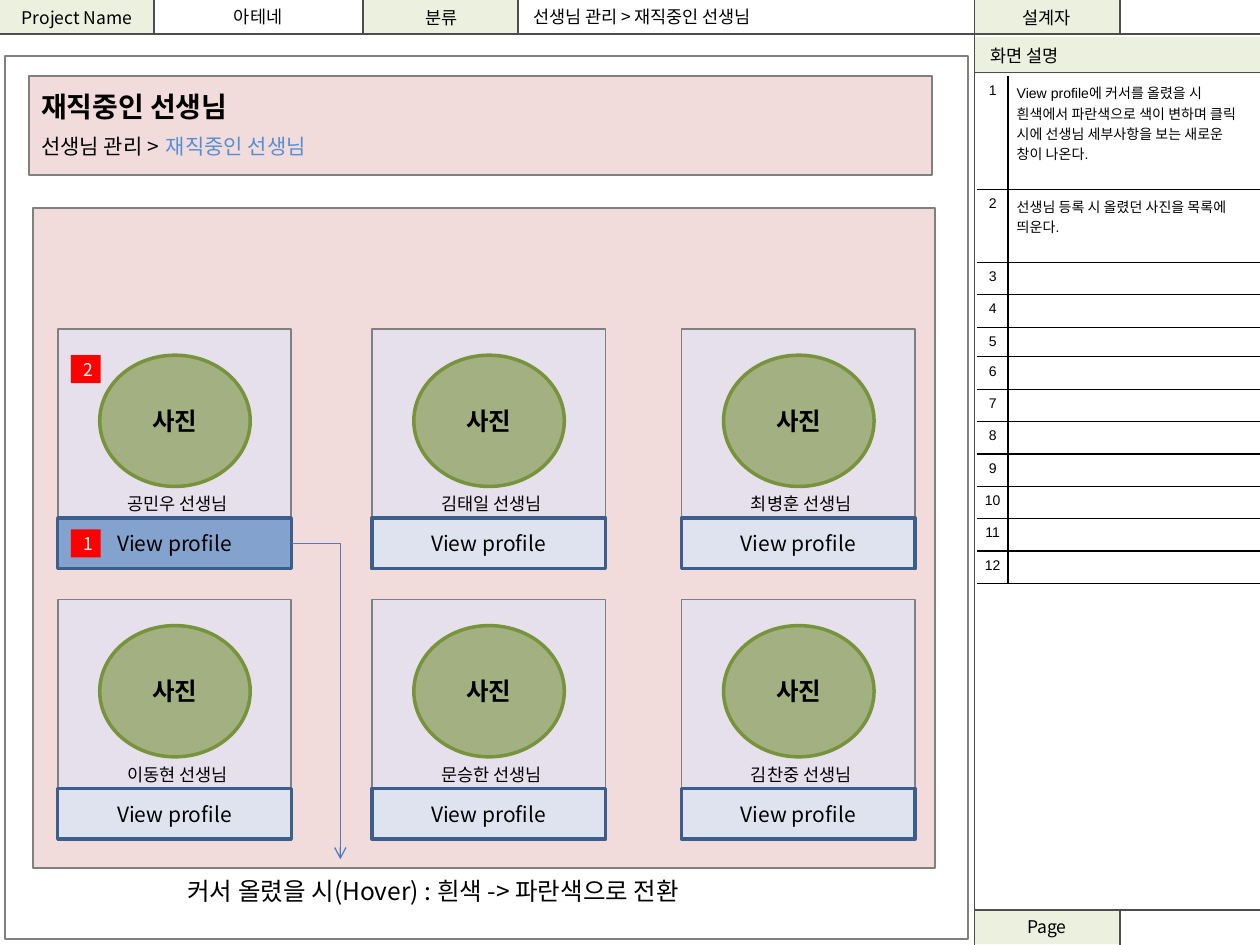
from lxml import etree
from pptx import Presentation
from pptx.dml.color import RGBColor
from pptx.enum import shapes, text
from pptx.oxml import ns
from pptx.util import Pt

BLACK = RGBColor(0, 0, 0)
WHITE = RGBColor(255, 255, 255)
RED = RGBColor(255, 0, 0)
DARK = RGBColor(0x4D, 0x4D, 0x4D)
GRAY = RGBColor(0x80, 0x80, 0x80)
PALE = RGBColor(0xEB, 0xF1, 0xDE)
PINK = RGBColor(0xF2, 0xDC, 0xDB)
LILAC = RGBColor(0xE6, 0xE0, 0xEC)
OLIVE = RGBColor(0x77, 0x93, 0x3C)
NAVY = RGBColor(0x3A, 0x5F, 0x8C)
BLUE = RGBColor(0x4F, 0x81, 0xBD)
ICE = RGBColor(0xDC, 0xE6, 0xF2)
LINK = RGBColor(0x55, 0x8E, 0xD5)
ARROW = RGBColor(0x4B, 0x7E, 0xBC)
KOREAN = "Noto Sans CJK KR"
RECT = shapes.MSO_SHAPE.RECTANGLE
OVAL = shapes.MSO_SHAPE.OVAL
LEFT, CENTER = text.PP_ALIGN.LEFT, text.PP_ALIGN.CENTER
MIDDLE, TOP = text.MSO_ANCHOR.MIDDLE, text.MSO_ANCHOR.TOP
NO_STYLE = "{2D5ABB26-0587-4C30-8999-92F81FD0307C}"


def add(parent, tag, **attrs):
    return etree.SubElement(parent, ns.qn(tag), **attrs)


def style(run, size, color=BLACK, bold=False, face=KOREAN):
    font = run.font
    font.size, font.bold, font.name = Pt(size), bold, face
    font.color.rgb = color
    add(run._r.get_or_add_rPr(), "a:ea", typeface=KOREAN)


def write(frame, words, size, color=BLACK, bold=False, align=CENTER, anchor=MIDDLE):
    frame.word_wrap = True
    frame.vertical_anchor = anchor
    frame.text = words
    para = frame.paragraphs[0]
    para.alignment = align
    style(para.runs[0], size, color, bold)


def shape(slide, box, fill, line=None, width=1, kind=RECT, alpha=None):
    item = slide.shapes.add_shape(kind, *map(Pt, box))
    item.shadow.inherit = False
    item.fill.solid()
    item.fill.fore_color.rgb = fill
    if alpha:
        tone = item._element.spPr.find(ns.qn("a:solidFill")).find(ns.qn("a:srgbClr"))
        add(tone, "a:alpha", val=str(alpha * 1000))
    if line is None:
        item.line.fill.background()
    else:
        item.line.color.rgb = line
        item.line.width = Pt(width)
    return item


def label(slide, box, words, size, **look):
    item = slide.shapes.add_textbox(*map(Pt, box))
    write(item.text_frame, words, size, **look)


def link(slide, ends, color, kind=shapes.MSO_CONNECTOR.STRAIGHT):
    item = slide.shapes.add_connector(kind, *map(Pt, ends))
    item.line.color.rgb = color
    item.line.width = Pt(0.75)
    add(item._element.spPr, "a:effectLst")
    return item


def frame(slide, width, height):
    row, side, split = 19.5, 556.75, 640
    foot = height - 20
    heads = [
        (0, 0, 88, "Project Name"),
        (208, 0, 88.5, "분류"),
        (side, 0, 83, "설계자"),
        (side, foot, 83, "Page"),
    ]
    for x, y, w, words in heads:
        item = shape(slide, (x, y, w, row), PALE)
        write(item.text_frame, words, 10)
    item = shape(slide, (side, 21, width - side, 21), PALE)
    write(item.text_frame, "화면 설명", 10, align=LEFT)
    item.text_frame.margin_left = Pt(9.5)
    label(slide, (88, 0.5, 119, 18), "아테네", 10)
    label(slide, (297.5, 0, 215, row), "선생님 관리 > 재직중인 선생님", 10, align=LEFT, anchor=TOP)
    for x in (88, 207.5, 296, split):
        link(slide, (x, 0, x, row), DARK)
    link(slide, (split, foot, split, height), DARK)
    link(slide, (side, 0, side, height), DARK)
    for x, y in ((0, row), (side, 41.25), (side, foot)):
        link(slide, (x, y, width, y), DARK)


def title(slide, box):
    body = shape(slide, box, PINK, GRAY).text_frame
    write(body, "재직중인 선생님", 16, bold=True, align=LEFT)
    para = body.add_paragraph()
    para.alignment = LEFT
    for words, size, color in (
        ("선생님 관리 >", 12, BLACK),
        (" ", 18, BLACK),
        ("재직중인 선생님", 12, LINK),
    ):
        run = para.add_run()
        run.text = words
        style(run, size, color)


def edge(cell, side):
    line = add(cell._tc.get_or_add_tcPr(), side, w="9525")
    add(add(line, "a:solidFill"), "a:srgbClr", val=str(BLACK))


def notes(slide, x, y):
    words = [
        "View profile에 커서를 올렸을 시 흰색에서 파란색으로 색이 변하며 클릭 시에 선생님 세부사항을 보는 새로운 창이 나온다.",
        "선생님 등록 시 올렸던 사진을 목록에 띄운다.",
    ] + [""] * 10
    tall = [65, 41.5, 18.5, 18.5, 17] + [18.5] * 7
    cols = (17.5, 144)
    item = slide.shapes.add_table(len(words), 2, Pt(x), Pt(y), Pt(sum(cols)), Pt(sum(tall)))
    grid = item.table
    grid.first_row = grid.horz_banding = False
    grid._tbl.tblPr.find(ns.qn("a:tableStyleId")).text = NO_STYLE
    for col, wide in zip(grid.columns, cols):
        col.width = Pt(wide)
    for i, (high, note) in enumerate(zip(tall, words)):
        grid.rows[i].height = Pt(high)
        pairs = ((str(i + 1), 3, CENTER), (note, 5, LEFT))
        for cell, (value, pad, align) in zip(grid.rows[i].cells, pairs):
            cell.margin_left = cell.margin_right = Pt(pad)
            cell.margin_top = cell.margin_bottom = Pt(3.6)
            cell.text_frame.text = value
            para = cell.text_frame.paragraphs[0]
            para.alignment = align
            for run in para.runs:
                style(run, 8, face="Arial")
            if not value:
                add(para._p, "a:endParaRPr", sz="800")
        edge(grid.cell(i, 0), "a:lnR")
        for cell in grid.rows[i].cells:
            edge(cell, "a:lnB")


def card(slide, box, name, fill):
    x, y, w, h = box
    shape(slide, box, LILAC, GRAY)
    label(slide, (x + 14, y + 62.5, 108.5, 75), name, 10)
    photo = shape(slide, (x + 24, y + 15, 86, 75), OLIVE, OLIVE, 2, OVAL, 60)
    write(photo.text_frame, "사진", 14, bold=True)
    button = shape(slide, (x, y + h - 29, w, 29), fill, NAVY, 2, alpha=65)
    write(button.text_frame, "View profile", 12)


def cards(slide, box):
    x, y = box[:2]
    shape(slide, box, PINK, GRAY)
    names = [
        ["공민우 선생님", "김태일 선생님", "최병훈 선생님"],
        ["이동현 선생님", "문승한 선생님", "김찬중 선생님"],
    ]
    for i, row in enumerate(names):
        for j, name in enumerate(row):
            fill = BLUE if i == j == 0 else ICE
            spot = (x + (14, 193.5, 370.5)[j], y + 69 + 154.5 * i, 133.5, 137)
            card(slide, spot, name, fill)
    for mark, down in (("1", 183.5), ("2", 84)):
        tag = shape(slide, (x + 21.5, y + down, 17, 16), RED)
        write(tag.text_frame, mark, 10, WHITE)
    path = link(slide, (x + 148, y + 191.5, x + 175.5, y + 372), ARROW, shapes.MSO_CONNECTOR.ELBOW)
    path._element.spPr.find(ns.qn("a:prstGeom")).set("prst", "bentConnector2")
    add(path._element.spPr.find(ns.qn("a:ln")), "a:tailEnd", type="arrow")


def main():
    deck = Presentation()
    deck.slide_width, deck.slide_height = Pt(720), Pt(540)
    slide = deck.slides.add_slide(deck.slide_layouts[6])
    frame(slide, 720, 540)
    shape(slide, (3, 32, 550, 504.5), WHITE, GRAY)
    cards(slide, (19, 119, 515.5, 377))
    title(slide, (16.5, 43.5, 516, 56.5))
    notes(slide, 558.5, 43.5)
    label(slide, (100, 497, 351, 24), "커서 올렸을 시(Hover) : 흰색 -> 파란색으로 전환", 14, align=LEFT, anchor=TOP)
    deck.save("out.pptx")


if __name__ == "__main__":
    main()
